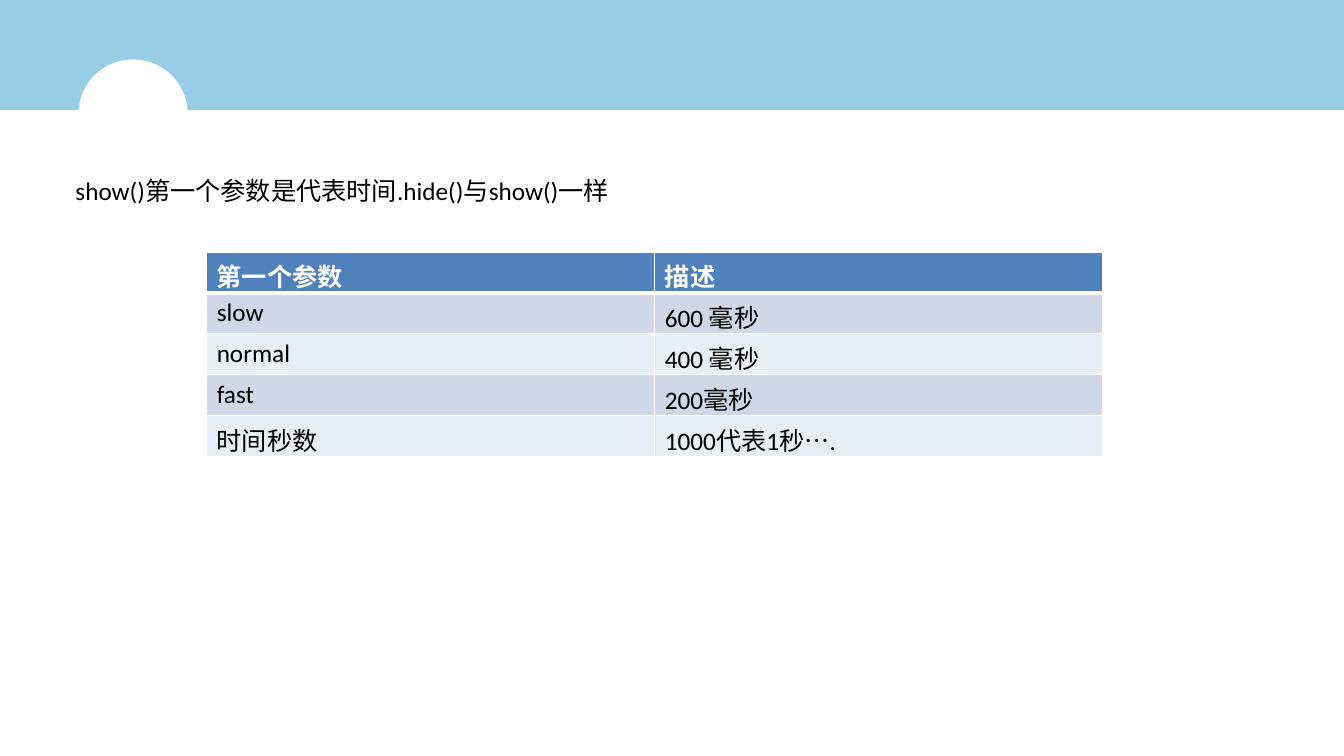
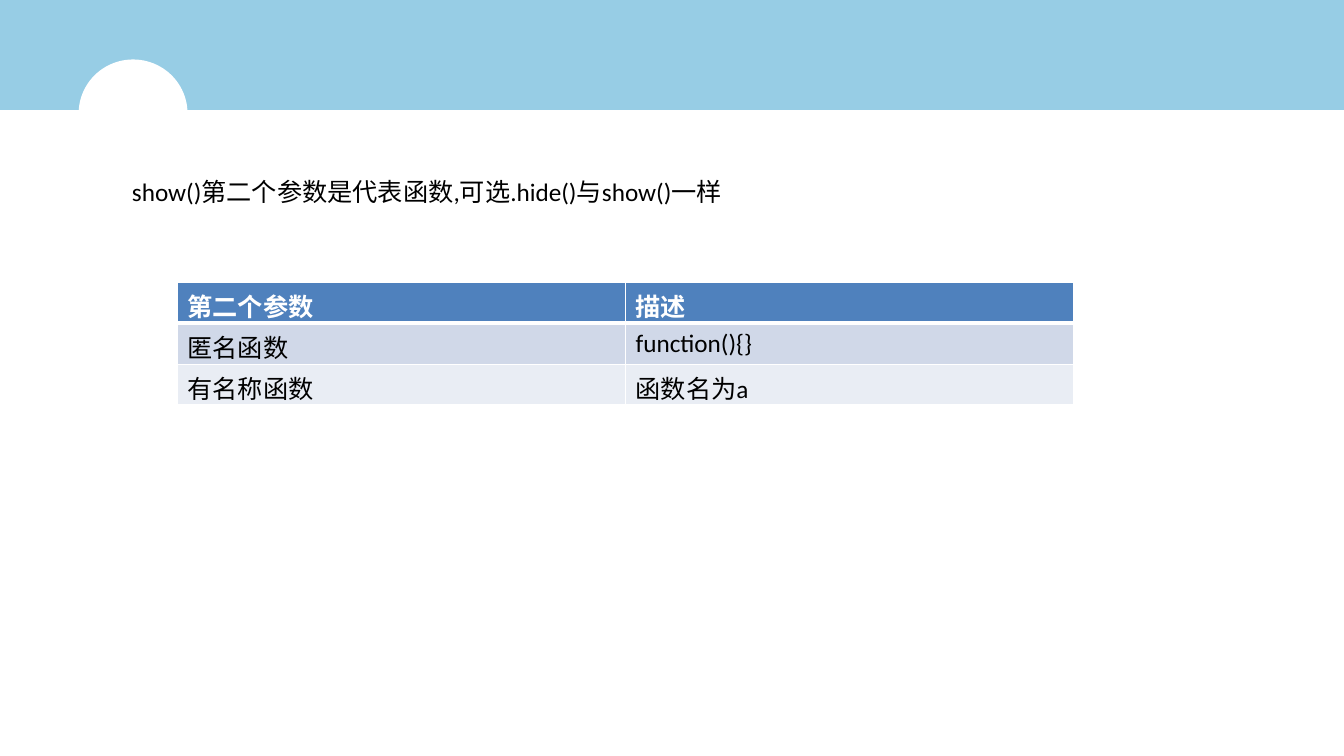
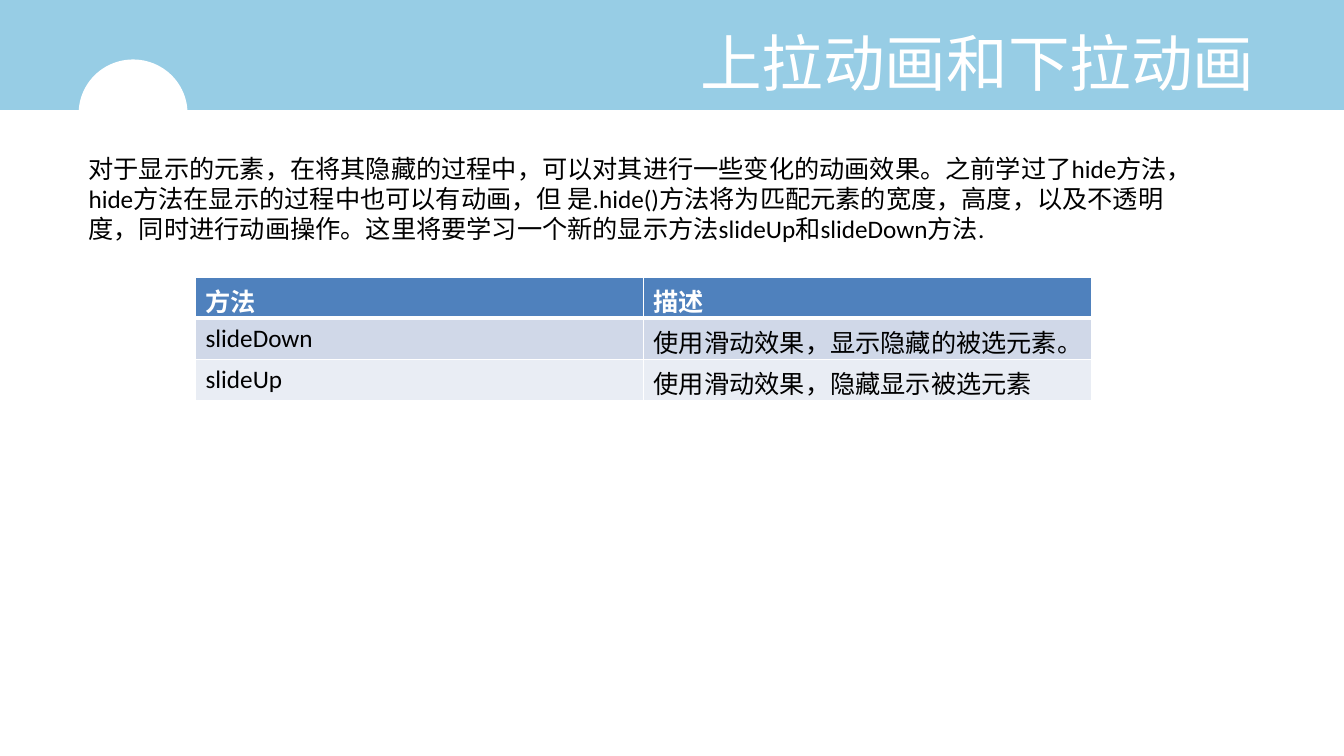
from dataclasses import dataclass
from typing import Optional

import pptx
import pptx.dml.color
import pptx.enum.shapes
import pptx.enum.text
import pptx.oxml
import pptx.oxml.ns
import pptx.presentation
import pptx.shapes.base
import pptx.slide
import pptx.table
import pptx.text.text
import pptx.util

SLIDE_WIDTH = pptx.util.Inches(13.33)
SLIDE_HEIGHT = pptx.util.Inches(7.5)
TITLE_ONLY_LAYOUT = 5
BLANK_LAYOUT = 6
MASTER_SHAPE_ID = 100


@dataclass(frozen=True)
class Theme:
    font: str = "Calibri"
    title_size: int = 44
    body_size: int = 18
    white: str = "FFFFFF"
    black: str = "000000"
    band: str = "97CDE5"
    header: str = "4F81BD"
    stripes: tuple[str, str] = ("D0D8E8", "E9EDF4")
    thin_border: int = 1
    thick_border: int = 3


@dataclass(frozen=True)
class Area:
    """Percentages of the slide's width and height."""

    left: float
    top: float
    width: float
    height: float

    def lengths(self) -> tuple[int, int, int, int]:
        return (
            round(SLIDE_WIDTH * self.left / 100),
            round(SLIDE_HEIGHT * self.top / 100),
            round(SLIDE_WIDTH * self.width / 100),
            round(SLIDE_HEIGHT * self.height / 100),
        )


@dataclass(frozen=True)
class Decoration:
    kind: pptx.enum.shapes.MSO_SHAPE
    area: Area
    color: str


@dataclass(frozen=True)
class Lesson:
    text: str
    text_area: Area
    table_left: float
    table_top: float
    rows: list[tuple[str, str]]
    title: Optional[str] = None


THEME = Theme()
TITLE_AREA = Area(49.5, 1.47, 45.46, 13.33)
TABLE_WIDTH = 66.69
ROW_HEIGHT = 5.42

DECORATIONS = [
    Decoration(pptx.enum.shapes.MSO_SHAPE.RECTANGLE, Area(0, 0, 100, 14.53), THEME.band),
    Decoration(pptx.enum.shapes.MSO_SHAPE.OVAL, Area(5.85, 7.87, 8.1, 14.27), THEME.white),
]

LESSONS = [
    Lesson(
        text="show()第一个参数是代表时间.hide()与show()一样",
        text_area=Area(4.88, 22.53, 90.92, 5.33),
        table_left=15.38,
        table_top=33.33,
        rows=[
            ("第一个参数", "描述"),
            ("slow", "600 毫秒"),
            ("normal", "400 毫秒"),
            ("fast", "200毫秒"),
            ("时间秒数", "1000代表1秒…."),
        ],
    ),
    Lesson(
        text="show()第二个参数是代表函数,可选.hide()与show()一样",
        text_area=Area(9.08, 22.67, 74.42, 9.47),
        table_left=13.2,
        table_top=37.33,
        rows=[
            ("第二个参数", "描述"),
            ("匿名函数", "function(){}"),
            ("有名称函数", "函数名为a"),
        ],
    ),
    Lesson(
        title=" 上拉动画和下拉动画",
        text=(
            "对于显示的元素，在将其隐藏的过程中，可以对其进行一些变化的动画效果。"
            "之前学过了hide方法，hide方法在显示的过程中也可以有动画，但 是.hide()"
            "方法将为匹配元素的宽度，高度，以及不透明度，同时进行动画操作。"
            "这里将要学习一个新的显示方法slideUp和slideDown方法."
        ),
        text_area=Area(5.85, 19.6, 83.12, 13.47),
        table_left=14.55,
        table_top=36.67,
        rows=[
            ("方法", "描述"),
            ("slideDown", "使用滑动效果，显示隐藏的被选元素。"),
            ("slideUp", "使用滑动效果，隐藏显示被选元素"),
        ],
    ),
]


def rgb(color: str) -> pptx.dml.color.RGBColor:
    return pptx.dml.color.RGBColor.from_string(color)


def write(
    frame: pptx.text.text.TextFrame, text: str, size: int, color: str, bold: bool = False
) -> None:
    frame.text = text
    font = frame.paragraphs[0].font
    font.name = THEME.font
    font.size = pptx.util.Pt(size)
    font.bold = bold
    font.color.rgb = rgb(color)


def place(shape: pptx.shapes.base.BaseShape, area: Area) -> None:
    shape.left, shape.top, shape.width, shape.height = area.lengths()


def decorate_master(presentation: pptx.presentation.Presentation, slide: pptx.slide.Slide) -> None:
    master_tree = presentation.slide_master.shapes.element
    for index, decoration in enumerate(DECORATIONS):
        shape = slide.shapes.add_shape(decoration.kind, *decoration.area.lengths())
        shape.shadow.inherit = False
        shape.fill.solid()
        shape.fill.fore_color.rgb = rgb(decoration.color)
        shape.line.fill.background()
        shape.element.nvSpPr.cNvPr.set("id", str(MASTER_SHAPE_ID + index))
        master_tree.insert(2 + index, shape.element)


def add_title(slide: pptx.slide.Slide, text: str) -> None:
    title = slide.shapes.title
    place(title, TITLE_AREA)
    write(title.text_frame, text, THEME.title_size, THEME.white)
    title.text_frame.vertical_anchor = pptx.enum.text.MSO_ANCHOR.MIDDLE
    title.text_frame.paragraphs[0].alignment = pptx.enum.text.PP_ALIGN.CENTER


def add_text(slide: pptx.slide.Slide, text: str, area: Area) -> None:
    frame = slide.shapes.add_textbox(*area.lengths()).text_frame
    frame.word_wrap = True
    frame.auto_size = pptx.enum.text.MSO_AUTO_SIZE.SHAPE_TO_FIT_TEXT
    write(frame, text, THEME.body_size, THEME.black)


def add_borders(cell: pptx.table._Cell, row: int) -> None:
    thick_side = {0: "B", 1: "T"}.get(row)
    properties = cell._tc.get_or_add_tcPr()
    for side in "LRTB":
        points = THEME.thick_border if side == thick_side else THEME.thin_border
        properties.append(
            pptx.oxml.parse_xml(
                f'<a:ln{side} {pptx.oxml.ns.nsdecls("a")} w="{pptx.util.Pt(points)}">'
                f'<a:solidFill><a:srgbClr val="{THEME.white}"/></a:solidFill></a:ln{side}>'
            )
        )


def add_table(slide: pptx.slide.Slide, lesson: Lesson) -> None:
    rows = lesson.rows
    area = Area(lesson.table_left, lesson.table_top, TABLE_WIDTH, ROW_HEIGHT * len(rows))
    table = slide.shapes.add_table(len(rows), len(rows[0]), *area.lengths()).table
    for row, texts in enumerate(rows):
        is_header = row == 0
        fill = THEME.header if is_header else THEME.stripes[(row - 1) % 2]
        color = THEME.white if is_header else THEME.black
        for column, text in enumerate(texts):
            cell = table.cell(row, column)
            add_borders(cell, row)
            cell.fill.solid()
            cell.fill.fore_color.rgb = rgb(fill)
            write(cell.text_frame, text, THEME.body_size, color, is_header)


def add_lesson(
    presentation: pptx.presentation.Presentation, lesson: Lesson
) -> pptx.slide.Slide:
    layout = TITLE_ONLY_LAYOUT if lesson.title else BLANK_LAYOUT
    slide = presentation.slides.add_slide(presentation.slide_layouts[layout])
    if lesson.title:
        add_title(slide, lesson.title)
    add_text(slide, lesson.text, lesson.text_area)
    add_table(slide, lesson)
    return slide


def main() -> None:
    presentation = pptx.Presentation()
    presentation.slide_width = SLIDE_WIDTH
    presentation.slide_height = SLIDE_HEIGHT
    slides = [add_lesson(presentation, lesson) for lesson in LESSONS]
    decorate_master(presentation, slides[0])
    presentation.save("out.pptx")


main()
